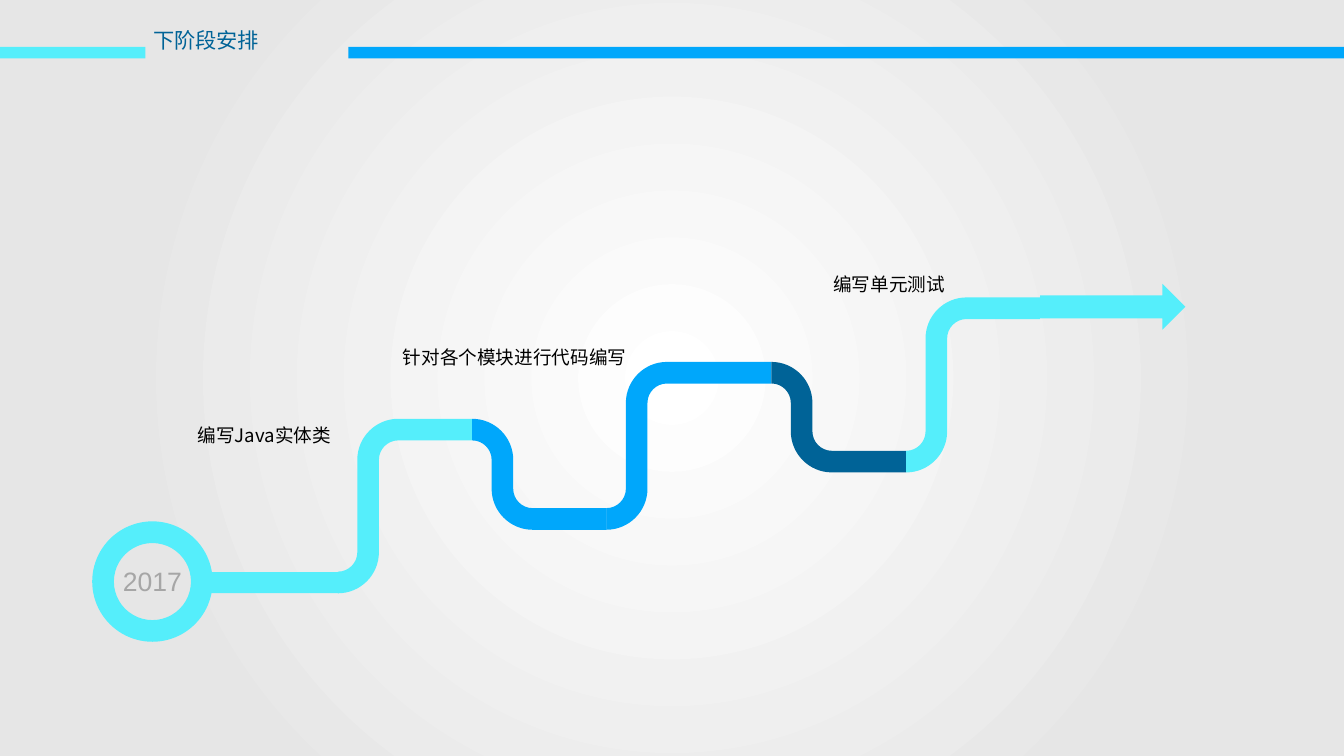
from lxml.etree import SubElement
from pptx import Presentation
from pptx.dml.color import RGBColor
from pptx.enum.shapes import MSO_SHAPE as Preset
from pptx.enum.text import MSO_ANCHOR as Anchor, PP_ALIGN as Align
from pptx.oxml.ns import qn
from pptx.util import Inches, Pt

COLUMNS, ROWS = 140.6, 79.1
CELL = Inches(0.1)
CYAN, BLUE, NAVY = "55EEFB", "00A7FB", "006397"
LATIN, CHINESE = "Arial", "Noto Sans CJK SC"
BAND = 2.26
BEND = 3.16
ROUNDNESS = 0.55


def color(value):
    return RGBColor.from_string(value)


def cells(*counts):
    return [round(count * CELL) for count in counts]


def straight(start, end):
    return [start, end, end]


def bend(start, corner, end):
    controls = [tuple(a + ROUNDNESS * (b - a) for a, b in zip(point, corner))
                for point in (start, end)]
    return controls + [end]


class RoadmapSlide:
    """Draws roadmap elements on a slide grid of tenth-inch cells."""

    def __init__(self, presentation):
        self.slide = presentation.slides.add_slide(presentation.slide_layouts[6])
        self.shapes = self.slide.shapes

    def finish(self, shape, fill):
        shape.shadow.inherit = False
        shape.line.fill.background()
        if fill:
            shape.fill.solid()
            shape.fill.fore_color.rgb = color(fill)
        return shape

    def preset(self, kind, left, top, width, height, fill, adjustments=()):
        shape = self.shapes.add_shape(kind, *cells(left, top, width, height))
        for index, adjustment in enumerate(adjustments):
            shape.adjustments[index] = adjustment
        return self.finish(shape, fill)

    def glow(self, center, edge):
        shape = self.preset(Preset.RECTANGLE, 0, 0, COLUMNS, ROWS, None)
        shape.fill.gradient()
        for stop, position, value in zip(shape.fill.gradient_stops, (0, 0.73), (center, edge)):
            stop.position = position
            stop.color.rgb = color(value)
        gradient = shape.element.spPr.find(qn("a:gradFill"))
        gradient.remove(gradient.find(qn("a:lin")))
        circle = SubElement(gradient, qn("a:path"))
        circle.set("path", "circle")
        focus = SubElement(circle, qn("a:fillToRect"))
        for side in "ltrb":
            focus.set(side, "50000")

    def curve(self, start, controls, fill):
        builder = self.shapes.build_freeform(*cells(*start))
        builder.add_line_segments([cells(*point) for point in controls], close=True)
        shape = builder.convert_to_shape()
        lines = list(shape.element.iter(qn("a:lnTo")))
        for first, second, third in zip(lines[::3], lines[1::3], lines[2::3]):
            first.tag = qn("a:cubicBezTo")
            for line in (second, third):
                first.append(line[0])
                line.getparent().remove(line)
        self.finish(shape, fill)

    def ribbon(self, start, end, start_row, end_row, fill):
        turn = 1 if end_row > start_row else -1
        half = BAND / 2

        def corners(offset):
            column = start + BEND + offset
            first, last = start_row - turn * offset, end_row - turn * offset
            return [(start, first), (column, first), (column, start_row + turn * BEND),
                    (column, end_row - turn * BEND), (column, last),
                    (start + 2 * BEND, last), (end, last)]

        def side(points):
            entry, corner_in, leave, enter, corner_out, join, tip = points
            return (bend(entry, corner_in, leave) + straight(leave, enter)
                    + bend(enter, corner_out, join) + straight(join, tip))

        def back(points):
            entry, corner_in, leave, enter, corner_out, join, tip = points
            return (straight(tip, join) + bend(join, corner_out, enter)
                    + straight(enter, leave) + bend(leave, corner_in, entry))

        outer, inner = corners(half), corners(-half)
        controls = side(outer) + straight(outer[-1], inner[-1]) + back(inner)
        self.curve(outer[0], controls, fill)

    def text(self, words, left, top, width, height, size, value, font,
             align=Align.CENTER, wrap=True):
        box = self.shapes.add_textbox(*cells(left, top, width, height))
        frame = box.text_frame
        frame.word_wrap = wrap
        frame.vertical_anchor = Anchor.MIDDLE
        paragraph = frame.paragraphs[0]
        paragraph.alignment = align
        run = paragraph.add_run()
        run.text = words
        run.font.size = Pt(size)
        run.font.name = font
        run.font.color.rgb = color(value)
        east_asian = SubElement(run.font._element, qn("a:ea"))
        east_asian.set("typeface", CHINESE)


def main():
    presentation = Presentation()
    presentation.slide_width, presentation.slide_height = cells(COLUMNS, ROWS)
    roadmap = RoadmapSlide(presentation)
    roadmap.glow("FFFFFF", "E6E6E6")

    roadmap.preset(Preset.DONUT, 9.65, 54.55, 12.6, 12.6, CYAN, [0.18])
    roadmap.text("2017", 10.75, 58.6, 10.4, 4.4, 20, "A6A6A6", LATIN)
    roadmap.preset(Preset.RECTANGLE, 22, 59.85, 13.4, 2.2, CYAN)

    stops = [35.35, 49.4, 63.45, 80.7, 94.8, 108.8]
    levels = [60.95, 44.95, 54.3, 39, 48.3, 32.25]
    fills = [CYAN, BLUE, BLUE, NAVY, CYAN]
    for start, end, start_row, end_row, fill in zip(stops, stops[1:], levels, levels[1:], fills):
        roadmap.ribbon(start, end, start_row, end_row, fill)
    roadmap.preset(Preset.RIGHT_ARROW, 108.8, 29.7, 15.2, 4.8, CYAN)

    for words, left, top, width in [
        ("编写Java实体类", 18.85, 44, 17.6),
        ("针对各个模块进行代码编写", 40.7, 35.9, 26.3),
        (" 编写单元测试", 84, 28.2, 17.6),
    ]:
        roadmap.text(words, left, top, width, 3, 14, "000000", CHINESE)

    for left, width, fill in [(0, 15.2, CYAN), (36.45, 104.15, BLUE)]:
        roadmap.preset(Preset.RECTANGLE, left, 4.9, width, 1.2, fill)
    roadmap.text("下阶段安排", 15.05, 2.3, 13.1, 3.7, 16, NAVY, LATIN, Align.LEFT, False)

    presentation.save("out.pptx")


if __name__ == "__main__":
    main()
